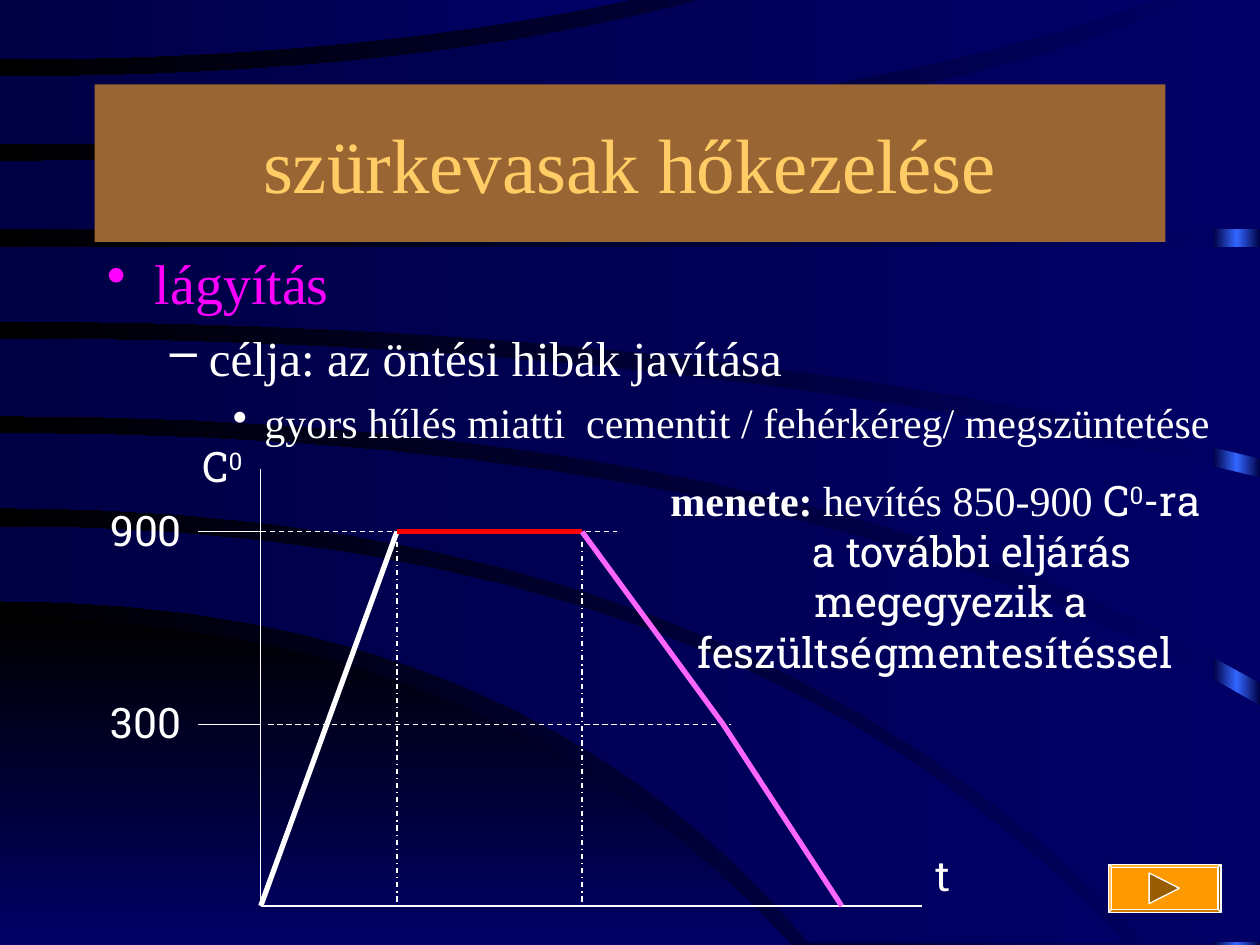
import copy
import dataclasses

import lxml.etree
import pptx
import pptx.dml.color
import pptx.enum.dml
import pptx.enum.shapes
import pptx.enum.text
import pptx.oxml.ns
import pptx.util

Shape = pptx.enum.shapes.MSO_SHAPE
Dash = pptx.enum.dml.MSO_LINE
Align = pptx.enum.text.PP_ALIGN
Anchor = pptx.enum.text.MSO_ANCHOR
qn = pptx.oxml.ns.qn


@dataclasses.dataclass(frozen=True)
class Theme:
    """Colours, fonts and type sizes of the slide."""
    navy: str = "000066"
    dusk: str = "000044"
    black: str = "000000"
    glow: str = "3366FF"
    white: str = "FFFFFF"
    red: str = "FF0000"
    pink: str = "FF66FF"
    magenta: str = "FF00FF"
    brown: str = "996633"
    gold: str = "FFCC66"
    orange: str = "FF9900"
    umber: str = "995C00"
    serif: str = "Times New Roman"
    slab: str = "Roboto Slab"
    head: int = 44
    first: int = 32
    second: int = 28
    text: int = 24
    thin: float = 0.75
    thick: float = 3


@dataclasses.dataclass(frozen=True)
class Box:
    """A region in inches, split into columns and rows."""
    left: float
    top: float
    width: float
    height: float
    cols: float = 1
    rows: float = 1

    def spot(self, col, row):
        """Return the point at a column and row."""
        return (pptx.util.Inches(self.left + col * self.width / self.cols),
                pptx.util.Inches(self.top + row * self.height / self.rows))

    def area(self, col=0, row=0, wide=None, high=None):
        """Return left, top, width and height of a block of cells."""
        x, y = self.spot(col, row)
        right, base = self.spot(col + (wide or self.cols), row + (high or self.rows))
        return x, y, right - x, base - y


@dataclasses.dataclass(frozen=True)
class Arc:
    """A curve that leaves the left side level and bends toward its end."""
    row: float
    bend: float
    col: float
    end: float

    def trail(self, count=16):
        """Return evenly stepped points from left to right."""
        steps = [step / count for step in range(count + 1)]
        return [(2 * t * (1 - t) * self.bend + t * t * self.col,
                 self.row + t * t * (self.end - self.row)) for t in steps]


THEME = Theme()
PAGE = Box(0, 0, 10, 7.5, 10, 7.5)
BASIN = Arc(4.91, 3.93, 6.28, 7.5), Arc(7.5, 3, 6.28, 7.5)
WAVES = [
    (Arc(4.18, 5.87, 8.93, 7.48), Arc(4.77, 4.15, 6.42, 7.48)),
    (Arc(3.44, 6.4, 10, 5.6), Arc(4.03, 5.88, 9.09, 7.48)),
    (Arc(2.69, 5.54, 10, 3.79), Arc(3.3, 6.3, 10, 5.42)),
    (Arc(1.96, 5, 10, 1.96), Arc(2.55, 5.64, 10, 3.64)),
    (Arc(1.28, 6.68, 9.43, 0), Arc(1.82, 5, 10, 1.82)),
    (Arc(0.61, 3.32, 5.56, 0), Arc(1.14, 6.07, 9.17, 0)),
    (Arc(0, 2.5, 5.01, 0), Arc(0.47, 2.8, 5.01, 0))]


def tint(name):
    """Turn a hex name into a colour."""
    return pptx.dml.color.RGBColor.from_string(name)


def blend(fill, root, names, angle=180):
    """Give a fill a linear gradient of evenly spread colours."""
    fill.gradient()
    fill.gradient_angle = angle
    stops = next(root.iter(qn("a:gsLst")))
    for _ in names[2:]:
        stops.append(copy.deepcopy(stops[0]))
    for step, (stop, name) in enumerate(zip(fill.gradient_stops, names)):
        stop.color.rgb = tint(name)
        stop.position = step / (len(names) - 1)


def trace(slide, box, points):
    """Draw a closed outline on the grid of a box."""
    start, *rest = [box.spot(*point) for point in points]
    pen = slide.shapes.build_freeform(*start, scale=1.0)
    pen.add_line_segments(rest, close=True)
    shape = pen.convert_to_shape()
    shape.shadow.inherit = False
    shape.line.fill.background()
    return shape


def band(slide, box, arcs, names, angle=180):
    """Fill the band between an upper and a lower arc."""
    upper, lower = arcs
    near, far = sorted(arcs, key=lambda arc: arc.col)
    points = upper.trail() + [(far.col, near.end)] + lower.trail()[::-1]
    shape = trace(slide, box, points)
    blend(shape.fill, shape.element, names, angle)


def rule(slide, box, ends, color=THEME.white, width=THEME.thin, dash=None):
    """Draw a straight line between two grid points."""
    kind = pptx.enum.shapes.MSO_CONNECTOR.STRAIGHT
    line = slide.shapes.add_connector(kind, *box.spot(*ends[0]), *box.spot(*ends[1]))
    line.line.color.rgb = tint(color)
    line.line.width = pptx.util.Pt(width)
    if dash:
        line.line.dash_style = dash
    lxml.etree.SubElement(line.element.spPr, qn("a:effectLst"))


def style(font, size, color, name=None):
    """Set the size, colour and typeface of a font."""
    font.size = pptx.util.Pt(size)
    font.color.rgb = tint(color)
    font.name = name


def center(para, shift=0):
    """Centre a paragraph behind a left indent in inches."""
    para.alignment = Align.CENTER
    para._p.get_or_add_pPr().set("marL", str(pptx.util.Inches(shift)))


def piece(para, text, name, lift=False):
    """Add a run in a typeface, raised if asked."""
    run = para.add_run()
    run.text = text
    run.font.name = name
    if lift:
        run.font._element.set("baseline", "30000")


def label(slide, area, text, wrap=False, power="", shift=0):
    """Place a centred label, with an exponent if there is one."""
    frame = slide.shapes.add_textbox(*area).text_frame
    frame.word_wrap = wrap
    frame.vertical_anchor = Anchor.MIDDLE
    para = frame.paragraphs[0]
    center(para, shift)
    para.add_run().text = text
    if power:
        piece(para, power, THEME.slab, True)
    style(para.font, THEME.text, THEME.white, THEME.slab)


def scene(slide, box):
    """Paint the backdrop, the glowing edge and the waves."""
    blend(slide.background.fill, slide.element, [THEME.navy, THEME.black])
    edge = slide.shapes.add_shape(Shape.RECTANGLE, *box.area(9.63, 0, 0.37))
    edge.shadow.inherit = False
    edge.line.fill.background()
    blend(edge.fill, edge.element, [THEME.dusk, THEME.glow, THEME.dusk])
    band(slide, box, BASIN, [THEME.black, THEME.navy], 270)
    for arcs in WAVES:
        band(slide, box, arcs, [THEME.navy, THEME.dusk])


def graph(slide, box):
    """Draw the heat curve over time with its axes and guides."""
    hot, warm, base = 2.02, 8.19, box.rows
    rise, fall, bend, end = 4.32, 10.2, 14.68, 18.44
    rule(slide, box, [(0, 0), (0, base)])
    rule(slide, box, [(0, base), (box.cols, base)])
    for text, row, start, stop in (("900", hot, 0, 11.32), ("300", warm, 0.24, 14.92)):
        rule(slide, box, [(-2, row), (0, row)])
        rule(slide, box, [(start, row), (stop, row)], dash=Dash.DASH)
        label(slide, box.area(-5.28, row - 1.08, 3.28, 2), text)
    for col in (rise, fall):
        rule(slide, box, [(col, hot + 0.32), (col, base)], dash=Dash.DASH_DOT)
    label(slide, box.area(-2.76, -1.09, 2.76, 2), "C", True, "0", 0.08)
    label(slide, box.area(box.cols, 12, 1.28, 2), "t")
    curve = [(0, base), (rise, hot), (fall, hot), (bend, warm), (end, base)]
    colors = [THEME.white, THEME.red, THEME.pink, THEME.pink]
    for start, stop, color in zip(curve, curve[1:], colors):
        rule(slide, box, [start, stop], color, THEME.thick)


def title(slide, box):
    """Place the title band in front of the backdrop."""
    head = slide.shapes.title
    head.element.getparent().append(head.element)
    head.left, head.top, head.width, head.height = box.area()
    head.fill.solid()
    head.fill.fore_color.rgb = tint(THEME.brown)
    head.text_frame.text = "szürkevasak hőkezelése"
    head.text_frame.vertical_anchor = Anchor.MIDDLE
    para = head.text_frame.paragraphs[0]
    center(para)
    style(para.font, THEME.head, THEME.gold, THEME.serif)


def goals(slide, box):
    """List the three levels of bullets."""
    frame = slide.shapes.add_textbox(*box.area()).text_frame
    frame.word_wrap = True
    rows = [
        ("lágyítás", "•", 0.38, 0.38, 0, THEME.first, THEME.magenta),
        ("célja: az öntési hibák javítása", "–", 0.81, 0.31, 7, THEME.second, THEME.white),
        ("gyors hűlés miatti  cementit / fehérkéreg/ megszüntetése", "•", 1.25, 0.25, 6,
         THEME.text, THEME.white)]
    for level, (text, mark, left, hang, gap, size, color) in enumerate(rows):
        para = frame.paragraphs[0] if level == 0 else frame.add_paragraph()
        para.text = text
        para.level = level
        para.space_before = pptx.util.Pt(gap)
        props = para._p.get_or_add_pPr()
        props.set("marL", str(pptx.util.Inches(left)))
        props.set("indent", str(-pptx.util.Inches(hang)))
        lxml.etree.SubElement(props, qn("a:buChar")).set("char", mark)
        style(para.font, size, color, THEME.serif)


def steps(slide, box):
    """Describe the course of the treatment in centred lines."""
    frame = slide.shapes.add_textbox(*box.area()).text_frame
    frame.word_wrap = True
    frame.margin_left = frame.margin_right = 0
    para = frame.paragraphs[0]
    center(para)
    style(para.font, THEME.text, THEME.white)
    for text, name in (("menete:", THEME.serif), (" hevítés 850-900 ", THEME.serif),
                       ("C", THEME.slab), ("0", THEME.slab), ("-ra", THEME.slab)):
        piece(para, text, name, text == "0")
    para.runs[0].font.bold = True
    for text, shift in (("a további eljárás", 0.58), ("megegyezik a", 0.25),
                        ("feszültségmentesítéssel", 0)):
        para = frame.add_paragraph()
        para.text = text
        center(para, shift)
        style(para.font, THEME.text, THEME.white, THEME.slab)


def button(slide, box):
    """Draw the bevelled button with its forward arrow."""
    plate = slide.shapes.add_shape(Shape.BEVEL, *box.area())
    plate.adjustments[0] = 0.06
    plate.shadow.inherit = False
    arrow = trace(slide, box, [(0.36, 0.18), (0.63, 0.5), (0.36, 0.82)])
    for shape, color in ((plate, THEME.orange), (arrow, THEME.umber)):
        shape.fill.solid()
        shape.fill.fore_color.rgb = tint(color)
        shape.line.color.rgb = tint(THEME.white)
        shape.line.width = pptx.util.Pt(THEME.thin)


def main():
    """Build the slide and save it."""
    deck = pptx.Presentation()
    deck.slide_width, deck.slide_height = PAGE.spot(PAGE.cols, PAGE.rows)
    slide = deck.slides.add_slide(deck.slide_layouts[5])
    scene(slide, PAGE)
    graph(slide, Box(2.07, 3.72, 5.25, 3.47, 21, 14))
    title(slide, Box(0.75, 0.67, 8.5, 1.25))
    goals(slide, Box(0.75, 1.92, 9.25, 4.5))
    steps(slide, Box(5.19, 3.72, 4.47, 1.7))
    button(slide, Box(8.8, 6.86, 0.89, 0.38))
    deck.save("out.pptx")


if __name__ == "__main__":
    main()
